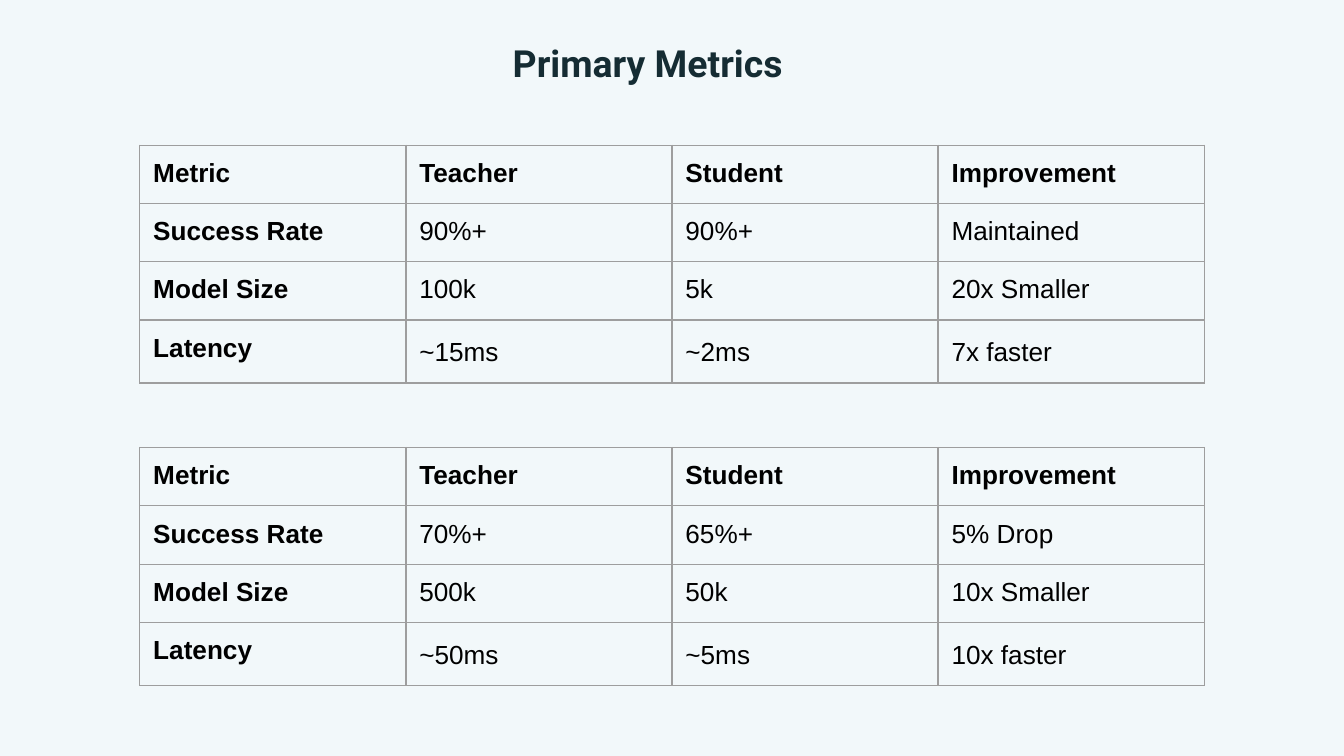
from lxml import etree
from pptx import Presentation
from pptx.dml.color import RGBColor
from pptx.enum.text import MSO_ANCHOR, PP_ALIGN
from pptx.oxml.ns import qn
from pptx.util import Inches, Pt

CENTER = PP_ALIGN.CENTER
BOTTOM = MSO_ANCHOR.BOTTOM
TOP = MSO_ANCHOR.TOP
COLORS = {"background": "F2F8FA", "title": "152C33", "text": "000000", "border": "9E9E9E"}
PADDING = Inches(0.1)
ROW_HEIGHT = Pt(30)
HEADER = ["Metric", "Teacher", "Student", "Improvement"]
TABLES = [
    (1.08, [
        HEADER,
        ["Success Rate", "90%+", "90%+", "Maintained"],
        ["Model Size", "100k", "5k", "20x Smaller"],
        ["Latency", "~15ms", "~2ms", "7x faster"],
    ]),
    (3.33, [
        HEADER,
        ["Success Rate", "70%+", "65%+", "5% Drop"],
        ["Model Size", "500k", "50k", "10x Smaller"],
        ["Latency", "~50ms", "~5ms", "10x faster"],
    ]),
]


def set_padding(box):
    box.margin_left = box.margin_right = PADDING
    box.margin_top = box.margin_bottom = PADDING


def format_run(r, font, size, color, bold):
    r.font.name = font
    r.font.size = Pt(size)
    r.font.bold = bold
    r.font.color.rgb = RGBColor.from_string(COLORS[color])


def add_title(slide, text, left, top, width, height):
    sp = slide.shapes.add_textbox(Inches(left), Inches(top), Inches(width), Inches(height))
    tf = sp.text_frame
    tf.word_wrap = True
    tf.vertical_anchor = BOTTOM
    set_padding(tf)
    p = tf.paragraphs[0]
    p.text = text
    p.alignment = CENTER
    pPr = p._p.get_or_add_pPr()
    pPr.set("marL", str(Inches(0.5)))
    pPr.set("indent", str(Inches(-0.33)))
    format_run(p.runs[0], "Roboto", 20, "title", True)


def set_borders(cell):
    tcPr = cell._tc.get_or_add_tcPr()
    for side in ("lnL", "lnR", "lnT", "lnB"):
        ln = etree.SubElement(tcPr, qn(f"a:{side}"), w=str(Pt(0.75)))
        fill = etree.SubElement(ln, qn("a:solidFill"))
        etree.SubElement(fill, qn("a:srgbClr"), val=COLORS["border"])


def add_metrics_table(slide, rows, left, top, col_width, frame_size):
    n_rows, n_cols = len(rows), len(rows[0])
    frame = slide.shapes.add_table(
        n_rows, n_cols, Inches(left), Inches(top), Inches(frame_size), Inches(frame_size))
    table = frame.table
    table.first_row = table.horz_banding = False
    for column in table.columns:
        column.width = Inches(col_width)
    for i, values in enumerate(rows):
        table.rows[i].height = ROW_HEIGHT
        for j, value in enumerate(values):
            cell = table.cell(i, j)
            set_padding(cell)
            cell.vertical_anchor = TOP
            set_borders(cell)
            cell.fill.background()
            p = cell.text_frame.paragraphs[0]
            p.text = value
            if i == n_rows - 1 and j > 0:
                p.line_spacing = 1.15
            format_run(p.runs[0], "Arial", 14, "text", i == 0 or j == 0)
    frame.width = frame.height = Inches(frame_size)


def main():
    prs = Presentation()
    prs.slide_width = Inches(10)
    prs.slide_height = Inches(10) * 9 // 16
    slide = prs.slides.add_slide(prs.slide_layouts[6])
    fill = slide.background.fill
    fill.solid()
    fill.fore_color.rgb = RGBColor.from_string(COLORS["background"])
    add_title(slide, "Primary Metrics", 0.96, 0.19, 7.55, 0.54)
    for top, rows in TABLES:
        add_metrics_table(slide, rows, 1.04, top, 1.98, 3.28)
    prs.save("out.pptx")


if __name__ == "__main__":
    main()
